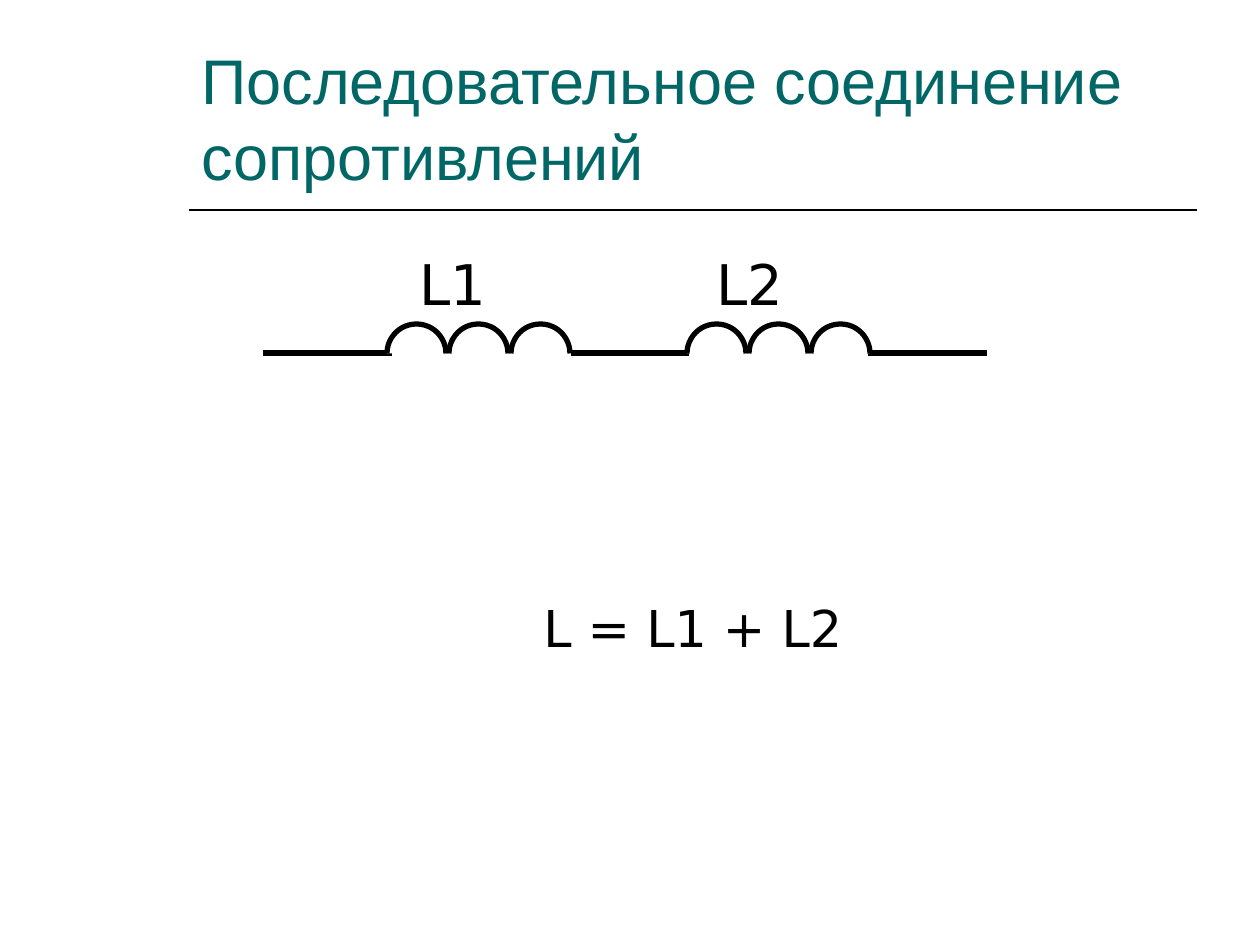
from dataclasses import dataclass

from lxml import etree
from pptx import Presentation
from pptx import util as u
from pptx.dml.color import RGBColor
from pptx.enum import shapes, text
from pptx.oxml import ns

PX = 914400 / 126


@dataclass(frozen=True)
class Theme:
    ink: RGBColor = RGBColor(0x00, 0x00, 0x00)
    teal: RGBColor = RGBColor(0x00, 0x66, 0x66)
    paper: RGBColor = RGBColor(0xFF, 0xFF, 0xFF)
    title_font: str = "Arial"
    body_font: str = "DejaVu Sans"
    title_size: int = 36
    label_size: int = 32
    formula_size: int = 29
    rule_width: int = 1
    wire_width: int = 3


theme = Theme()
deck = Presentation()
deck.slide_width, deck.slide_height = u.Inches(10), u.Inches(7.5)
page = deck.slides.add_slide(deck.slide_layouts[6])


def add_text(words, frame, size, font=theme.body_font, color=theme.ink,
             align=text.PP_ALIGN.LEFT, anchor=text.MSO_ANCHOR.TOP):
    box = page.shapes.add_textbox(*(round(n * PX) for n in frame))
    box.text_frame.word_wrap = True
    box.text_frame.vertical_anchor = anchor
    para = box.text_frame.paragraphs[0]
    para.alignment = align
    span = para.add_run()
    span.text = words
    span.font.name = font
    span.font.size = u.Pt(size)
    span.font.color.rgb = color


def add_level_line(left, right, y, width):
    ends = (round(n * PX) for n in (left, y, right, y))
    line = page.shapes.add_connector(shapes.MSO_CONNECTOR.STRAIGHT, *ends)
    line.line.color.rgb = theme.ink
    line.line.width = u.Pt(width)
    etree.SubElement(line._element.spPr, ns.qn("a:effectLst"))


# Title and formula
add_level_line(189, 1197, 210, theme.rule_width)
add_text("Последовательное соединение сопротивлений", (189, 42, 1008, 157),
         theme.title_size, theme.title_font, theme.teal,
         anchor=text.MSO_ANCHOR.BOTTOM)
add_text("L = L1 + L2", (189, 591, 1008, 227), theme.formula_size,
         align=text.PP_ALIGN.CENTER)

# Wires of the circuit
for left, right in ((263, 392), (571, 689), (868, 987)):
    add_level_line(left, right, 353, theme.wire_width)

# Coils: three half-circle turns each, with a label above
TURN, PITCH = 59, 62
for name, label_left, coil_left in (("L1", 407, 387), ("L2", 704, 687)):
    add_text(name, (label_left, 243, 149, 81), theme.label_size)
    for number in range(3):
        frame = (coil_left + number * PITCH, 324, TURN, TURN)
        turn = page.shapes.add_shape(shapes.MSO_SHAPE.ARC,
                                     *(round(n * PX) for n in frame))
        turn.shadow.inherit = False
        # Angles in 60000ths of a degree, scaled by 100000: 180° to 0°
        turn.adjustments[0] = 108
        turn.adjustments[1] = 0
        turn.fill.solid()
        turn.fill.fore_color.rgb = theme.paper
        turn.line.color.rgb = theme.ink
        turn.line.width = u.Pt(theme.wire_width)

deck.save("out.pptx")
